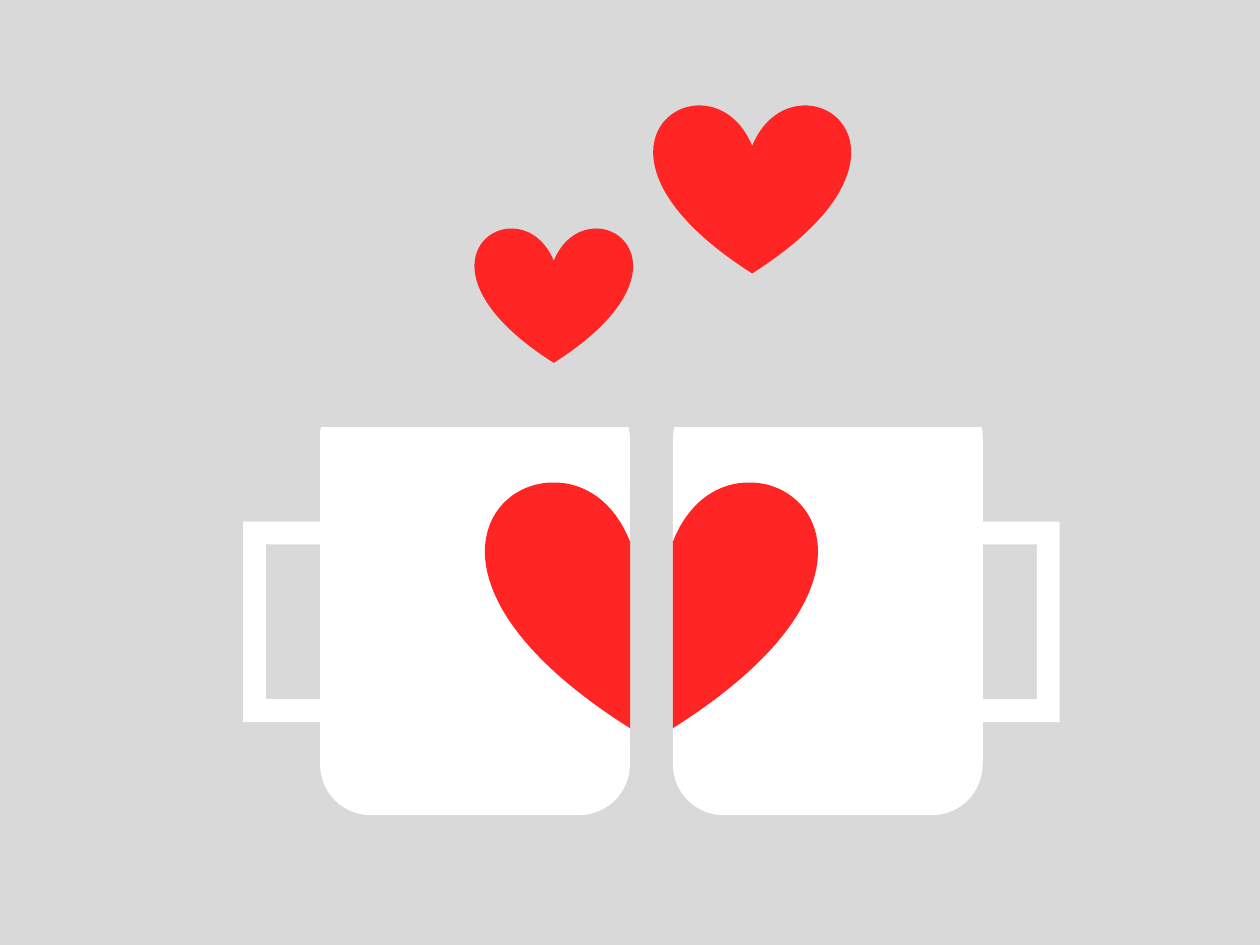
from dataclasses import dataclass
from typing import NamedTuple

from lxml import etree
from pptx import Presentation
from pptx import util as u
from pptx.dml import color
from pptx.enum import shapes
from pptx.oxml import ns


@dataclass(frozen=True)
class Theme:
    backdrop: str = "D9D9D9"
    mug: str = "FFFFFF"
    heart: str = "FF2525"


class Point(NamedTuple):
    x: float
    y: float


class Box(NamedTuple):
    left: float
    top: float
    width: float
    height: float


@dataclass(frozen=True)
class Outline:
    box: Box
    start: Point
    segments: tuple[tuple[Point, ...], ...]
    shade: str


THEME = Theme()
AXIS = 5.17
INNER, OUTER = 0.17, 2.63
RIM, SHOULDER, BASE = 3.39, 3.47, 6.47
RADIUS, PULL = 0.41, 0.18
UNITS = 1000
HANDLE = Box(1.79, 4.14, 1.45, 1.59)
FLOATING_HEARTS = (Box(3.77, 1.8, 1.25, 1.08), Box(5.19, 0.82, 1.56, 1.35))


def segment(*pairs: tuple[float, float]) -> tuple[Point, ...]:
    return tuple(Point(*pair) for pair in pairs)


MUG_BODY = Outline(
    Box(INNER, RIM, OUTER - INNER, 3.09),
    Point(INNER + 0.01, RIM),
    (
        segment((OUTER - 0.01, RIM)),
        segment((OUTER, 3.41), (OUTER, 3.44), (OUTER, SHOULDER)),
        segment((OUTER, BASE - RADIUS)),
        segment((OUTER, BASE - PULL), (OUTER - PULL, BASE), (OUTER - RADIUS, BASE)),
        segment((INNER + RADIUS, BASE)),
        segment((INNER + PULL, BASE), (INNER, BASE - PULL), (INNER, BASE - RADIUS)),
        segment((INNER, SHOULDER)),
    ),
    THEME.mug,
)
HALF_HEART = Outline(
    Box(INNER, 3.83, 1.15, 1.96),
    Point(0.77, 3.83),
    (
        segment((1.36, 3.82), (1.85, 4.72), (INNER, 5.78)),
        segment((INNER, 4.3)),
        segment((0.3, 3.97), (0.54, 3.83), (0.77, 3.83)),
    ),
    THEME.heart,
)


def paint(shape, shade: str) -> None:
    shape.fill.solid()
    shape.fill.fore_color.rgb = color.RGBColor.from_string(shade)
    shape.line.fill.background()
    shape.shadow.inherit = False


def mirror(box: Box, side: int) -> Box:
    offset = box.left if side > 0 else -box.left - box.width
    return box._replace(left=round(AXIS + offset, 2))


def draw_preset(parent, kind, box: Box, shade: str):
    shape = parent.shapes.add_shape(kind, *(u.Inches(length) for length in box))
    paint(shape, shade)
    return shape


def draw_outline(parent, outline: Outline, side: int) -> None:
    box = mirror(outline.box, side)
    left, top, width, height = (round(length * UNITS) for length in box)
    builder = parent.shapes.build_freeform(left, top, scale=u.Inches(1) / UNITS)
    builder.add_line_segments(
        [(left + width, top), (left + width, top + height), (left, top + height)])
    shape = builder.convert_to_shape()
    route = shape.element.find(".//" + ns.qn("a:path"))
    for child in list(route):
        route.remove(child)

    def add_command(tag: str, points: tuple[Point, ...]) -> None:
        command = etree.SubElement(route, ns.qn(tag))
        for point in points:
            spot = etree.SubElement(command, ns.qn("a:pt"))
            spot.set("x", str(round((AXIS + side * point.x) * UNITS) - left))
            spot.set("y", str(round(point.y * UNITS) - top))

    add_command("a:moveTo", (outline.start,))
    for points in outline.segments:
        add_command("a:lnTo" if len(points) == 1 else "a:cubicBezTo", points)
    add_command("a:close", ())
    paint(shape, outline.shade)


def draw_mug(page, side: int) -> None:
    mug = page.shapes.add_group_shape()
    draw_outline(mug, MUG_BODY, side)
    handle = draw_preset(mug, shapes.MSO_SHAPE.FRAME, mirror(HANDLE, side), THEME.mug)
    if side < 0:
        handle.element.find(".//" + ns.qn("a:xfrm")).set("flipH", "1")
    draw_outline(mug, HALF_HEART, side)


deck = Presentation()
for name, value in {"slide_width": u.Inches(10), "slide_height": u.Inches(7.5)}.items():
    setattr(deck, name, value)
page = deck.slides.add_slide(deck.slide_layouts[6])
page.background.fill.solid()
page.background.fill.fore_color.rgb = color.RGBColor.from_string(THEME.backdrop)

for side in (1, -1):
    draw_mug(page, side)
for heart in FLOATING_HEARTS:
    draw_preset(page, shapes.MSO_SHAPE.HEART, heart, THEME.heart)

deck.save("out.pptx")
